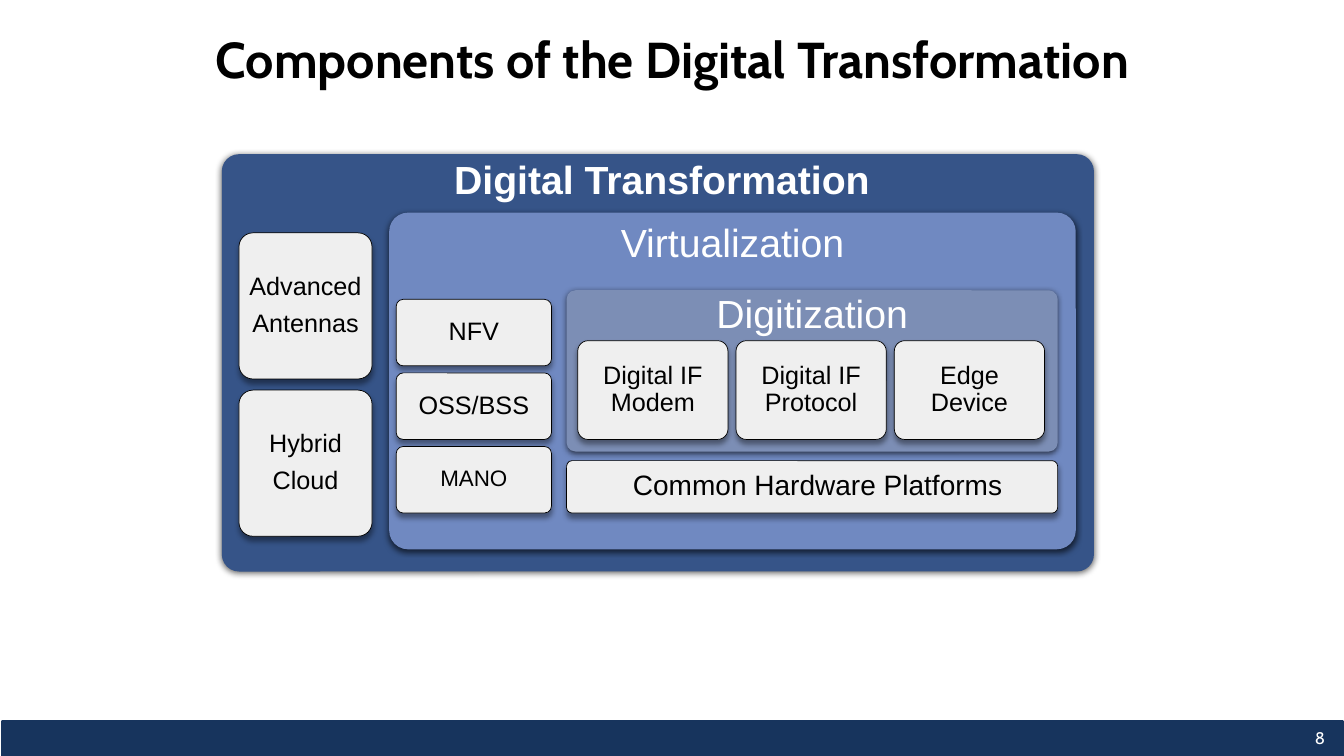
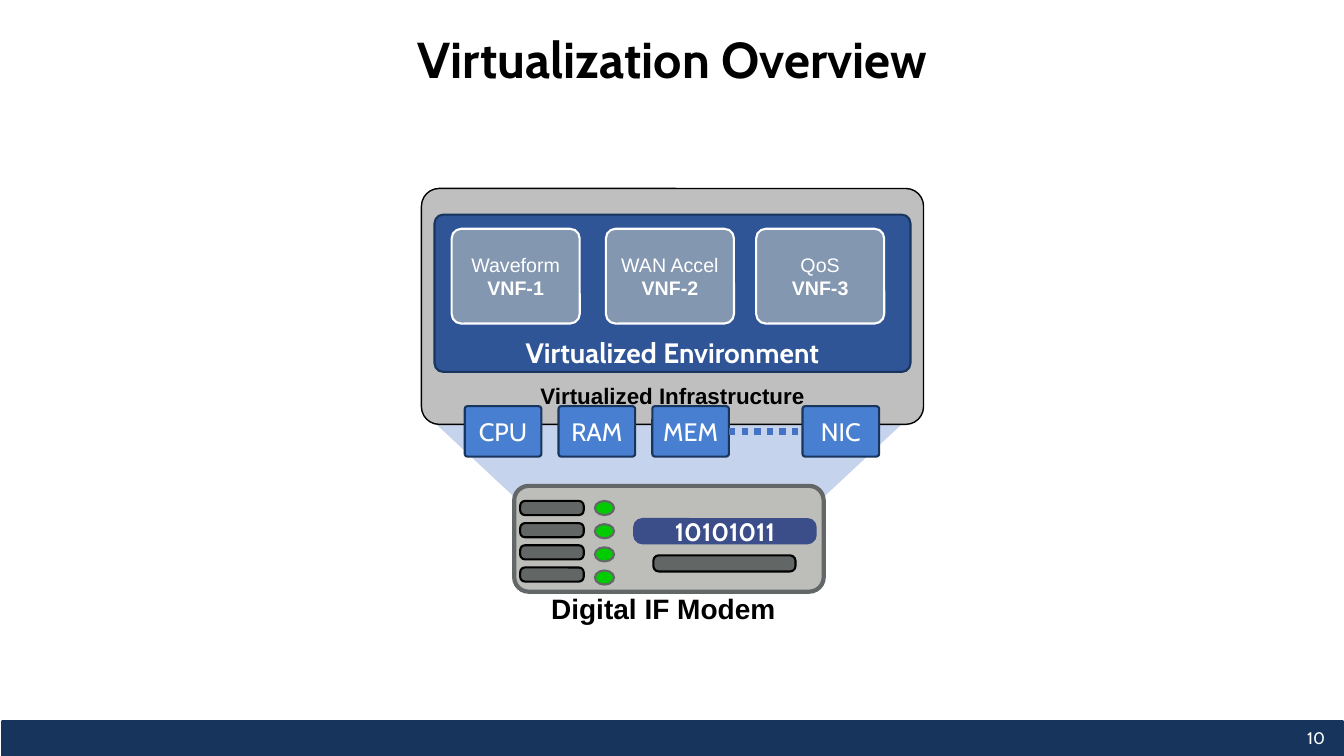
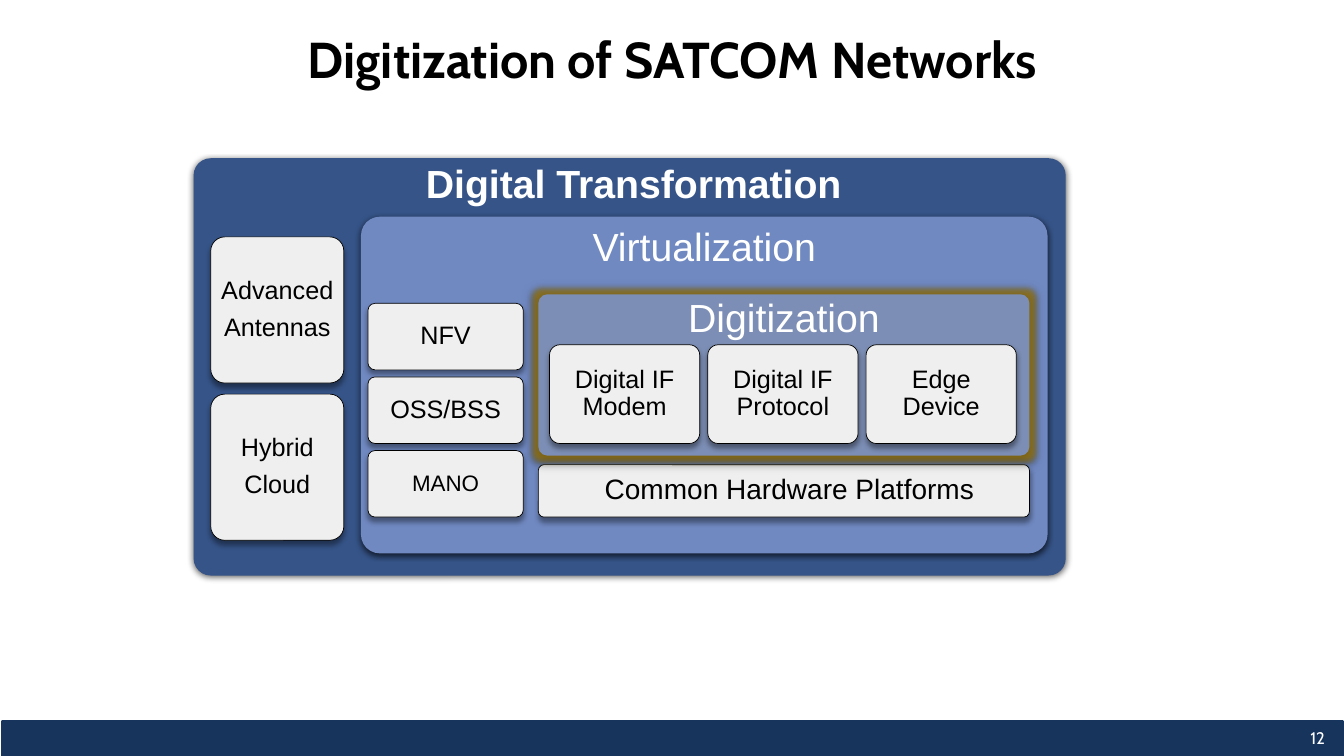
from dataclasses import dataclass, replace

from lxml import etree
from pptx import Presentation
from pptx.dml.color import RGBColor
from pptx.enum.dml import MSO_LINE
from pptx.enum.shapes import MSO_CONNECTOR, MSO_SHAPE
from pptx.enum.text import MSO_ANCHOR, PP_ALIGN
from pptx.oxml.ns import qn
from pptx.util import Inches, Pt

RECTANGLE = MSO_SHAPE.RECTANGLE
ROUNDED = MSO_SHAPE.ROUNDED_RECTANGLE
OVAL = MSO_SHAPE.OVAL
TRAPEZOID = MSO_SHAPE.TRAPEZOID
STRAIGHT = MSO_CONNECTOR.STRAIGHT
DOTTED = MSO_LINE.ROUND_DOT
TOP, MIDDLE, BOTTOM = MSO_ANCHOR.TOP, MSO_ANCHOR.MIDDLE, MSO_ANCHOR.BOTTOM
CENTER, RIGHT = PP_ALIGN.CENTER, PP_ALIGN.RIGHT
LEFT_SIDE, RIGHT_SIDE = 1, 3


@dataclass(frozen=True)
class Theme:
    heading_font: str = "Cabin"
    body_font: str = "Arial"
    black: str = "000000"
    white: str = "FFFFFF"
    band: str = "17345D"
    transformation: str = "365488"
    virtualization: str = "7089C1"
    digitization: str = "7C8EB5"
    card: str = "EFEFEF"
    glow: str = "A07800"
    beam: str = "4472C4"
    infrastructure: str = "BFBFBF"
    environment: str = "2F5597"
    navy_edge: str = "18355E"
    chip: str = "487FD0"
    vnf: str = "8497B0"
    chassis: str = "BDBEB9"
    chassis_edge: str = "636768"
    display: str = "3B4E89"
    slot: str = "626766"
    led: str = "00CC00"
    title_size: int = 36
    panel_size: int = 28
    caption_size: int = 20
    label_size: int = 18
    small_size: int = 16
    vnf_size: int = 14
    number_size: int = 12


THEME = Theme()


@dataclass(frozen=True)
class Area:
    left: float
    top: float
    width: float
    height: float

    def moved(self, right: float, down: float) -> "Area":
        return replace(self, left=self.left + right, top=self.top + down)


@dataclass(frozen=True)
class Shadow:
    alpha: int
    blur: float
    distance: float


@dataclass(frozen=True)
class Look:
    fill: str
    line: str | None = None
    line_width: float = 0
    corner: float | None = None
    preset: MSO_SHAPE = ROUNDED
    shadow: Shadow | None = None
    glow: bool = False
    opacity: int = 100


@dataclass(frozen=True)
class Label:
    size: int = THEME.label_size
    font: str = THEME.body_font
    color: str = THEME.black
    bold: bool = False
    bold_last: bool = False
    align: PP_ALIGN = CENTER
    anchor: MSO_ANCHOR = MIDDLE
    insets: tuple[float, float, float, float] = (0, 0, 0, 0)
    spacing: float = 1.0
    gap: float = 0


PANEL_SHADOW = Shadow(63, 4.5, 1.5)
CARD_SHADOW = Shadow(40, 4, 3)

BAND = Look(THEME.band, THEME.band, 2, preset=RECTANGLE)
OUTER_PANEL = Look(THEME.transformation, corner=0.041, shadow=PANEL_SHADOW)
VIRTUAL_PANEL = Look(THEME.virtualization, corner=0.056, shadow=PANEL_SHADOW)
DIGITAL_PANEL = Look(THEME.digitization, corner=0.055, shadow=PANEL_SHADOW)
CARD = Look(THEME.card, THEME.black, 0.5, 0.105, shadow=CARD_SHADOW)
BEAM = Look(THEME.beam, corner=1.072, preset=TRAPEZOID, opacity=31)
INFRASTRUCTURE = Look(THEME.infrastructure, THEME.black, 1, 0.075)
ENVIRONMENT = Look(THEME.environment, THEME.navy_edge, 1.5, 0.055)
CHIP = replace(ENVIRONMENT, fill=THEME.chip)
VNF = Look(THEME.vnf, THEME.white, 1.5, 0.101)
CHASSIS = Look(THEME.chassis, THEME.chassis_edge, 3, 0.137)
DISPLAY = Look(THEME.display, THEME.display, 1.5, 0.337)
SLOT = Look(THEME.slot, THEME.black, 1.5, 0.337)
LED = Look(THEME.led, THEME.chassis_edge, 1.5, preset=OVAL)

TITLE_LABEL = Label(THEME.title_size, THEME.heading_font, bold=True, spacing=0.9)
NUMBER_LABEL = Label(THEME.number_size, THEME.heading_font, THEME.white,
                     align=RIGHT, insets=(0.1, 0.05, 0.1, 0.05))
PANEL_LABEL = Label(THEME.panel_size, color=THEME.white, anchor=TOP, spacing=0.9)
CARD_LABEL = Label(insets=(0.05, 0, 0.05, 0), spacing=0.9, gap=7)
HARDWARE_LABEL = replace(CARD_LABEL, size=THEME.caption_size, insets=(0.11, 0, 0, 0))
INFRASTRUCTURE_LABEL = Label(THEME.small_size, bold=True, anchor=BOTTOM,
                             insets=(0.1, 0.05, 0.1, 0.1))
ENVIRONMENT_LABEL = Label(THEME.caption_size, THEME.heading_font, THEME.white,
                          bold=True, anchor=BOTTOM)
CHIP_LABEL = Label(font=THEME.heading_font, color=THEME.white)
VNF_LABEL = Label(THEME.vnf_size, color=THEME.white, bold_last=True)
DISPLAY_LABEL = replace(CHIP_LABEL, bold=True)
MODEM_LABEL = Label(THEME.caption_size, bold=True)


def rgb(color: str) -> RGBColor:
    return RGBColor.from_string(color)


def place(area: Area) -> tuple:
    return tuple(Inches(value) for value in
                 (area.left, area.top, area.width, area.height))


def add_color(parent, color: str, alpha: int) -> None:
    node = etree.SubElement(parent, qn("a:srgbClr"), val=color)
    etree.SubElement(node, qn("a:alpha"), val=str(alpha * 1000))


def add_effects(box, look: Look) -> None:
    box.shadow.inherit = False
    effects = box._element.spPr.find(qn("a:effectLst"))
    if look.glow:
        glow = etree.SubElement(effects, qn("a:glow"), rad=str(Pt(8)))
        add_color(glow, THEME.glow, 70)
    if look.shadow:
        shadow = etree.SubElement(
            effects, qn("a:outerShdw"), blurRad=str(Pt(look.shadow.blur)),
            dist=str(Pt(look.shadow.distance)), dir="5400000", rotWithShape="0")
        add_color(shadow, THEME.black, look.shadow.alpha)


def write(box, lines: tuple[str, ...], label: Label) -> None:
    frame = box.text_frame
    left, top, right, bottom = (Inches(value) for value in label.insets)
    frame_format = {
        "word_wrap": True, "vertical_anchor": label.anchor,
        "margin_left": left, "margin_top": top,
        "margin_right": right, "margin_bottom": bottom,
    }
    for name, value in frame_format.items():
        setattr(frame, name, value)
    last = len(lines) - 1
    for index, line in enumerate(lines):
        para = frame.add_paragraph() if index else frame.paragraphs[0]
        para_format = {
            "alignment": label.align, "line_spacing": label.spacing,
            "space_after": Pt(label.gap if index < last else 0),
        }
        for name, value in para_format.items():
            setattr(para, name, value)
        span = para.add_run()
        span.text = line
        font_format = {
            "name": label.font, "size": Pt(label.size),
            "bold": label.bold or (label.bold_last and index == last),
        }
        for name, value in font_format.items():
            setattr(span.font, name, value)
        span.font.color.rgb = rgb(label.color)


def add_box(page, area: Area, look: Look, lines: tuple[str, ...] = (),
            label: Label = CARD_LABEL):
    box = page.shapes.add_shape(look.preset, *place(area))
    if look.corner is not None:
        box.adjustments[0] = look.corner
    box.fill.solid()
    box.fill.fore_color.rgb = rgb(look.fill)
    if look.opacity < 100:
        color = box._element.spPr.find(qn("a:solidFill"))[0]
        etree.SubElement(color, qn("a:alpha"), val=str(look.opacity * 1000))
    if look.line:
        box.line.color.rgb = rgb(look.line)
        box.line.width = Pt(look.line_width)
    else:
        box.line.fill.background()
    add_effects(box, look)
    if lines:
        write(box, lines, label)
    return box


def add_text(page, area: Area, text: str, label: Label) -> None:
    write(page.shapes.add_textbox(*place(area)), (text,), label)


def add_page(deck, title: str, number: int):
    page = deck.slides.add_slide(deck.slide_layouts[6])
    add_box(page, Area(0.02, 7.16, 13.3, 0.36), BAND)
    add_text(page, Area(12.52, 7.12, 0.72, 0.4), str(number), NUMBER_LABEL)
    add_text(page, Area(0.92, 0.3, 11.5, 0.63), title, TITLE_LABEL)
    return page


def draw_components(page, left: float, top: float, highlight: bool = False) -> None:
    def put(area: Area, look: Look, lines: tuple[str, ...],
            label: Label = CARD_LABEL) -> None:
        add_box(page, area.moved(left, top), look, lines, label)

    put(Area(0, 0, 8.65, 4.14), OUTER_PANEL, ("Digital Transformation",),
        replace(PANEL_LABEL, bold=True, insets=(0.08, 0.01, 0, 0)))
    put(Area(1.66, 0.58, 6.81, 3.34), VIRTUAL_PANEL, ("Virtualization",),
        replace(PANEL_LABEL, insets=(0, 0.05, 0, 0)))
    for row, lines in enumerate((("Advanced", "Antennas"), ("Hybrid", "Cloud"))):
        put(Area(0.17, 0.78 + 1.56 * row, 1.32, 1.45), CARD, lines)
    put(Area(3.42, 3.04, 4.87, 0.52), CARD,
        ("Common Hardware Platforms",), HARDWARE_LABEL)
    put(Area(3.42, 1.35, 4.87, 1.6), replace(DIGITAL_PANEL, glow=highlight),
        ("Digitization",), replace(PANEL_LABEL, insets=(0, 0.02, 0, 0)))
    devices = ("Digital IF Modem", "Digital IF Protocol", "Edge Device")
    for column, device in enumerate(devices):
        put(Area(3.53 + 1.57 * column, 1.85, 1.49, 0.98), CARD, (device,))
    functions = (("NFV", THEME.label_size), ("OSS/BSS", THEME.label_size),
                 ("MANO", THEME.small_size))
    for row, (function, size) in enumerate(functions):
        put(Area(1.73, 1.44 + 0.73 * row, 1.54, 0.66), CARD, (function,),
            replace(CARD_LABEL, size=size))


def draw_stack(page) -> None:
    beam = add_box(page, Area(4.21, 4.1, 4.85, 0.88), BEAM)
    beam.rotation = 180
    add_box(page, Area(4.18, 1.87, 4.98, 2.34), INFRASTRUCTURE,
            ("Virtualized Infrastructure",), INFRASTRUCTURE_LABEL)
    add_box(page, Area(4.31, 2.13, 4.72, 1.56), ENVIRONMENT,
            ("Virtualized Environment",), ENVIRONMENT_LABEL)
    chip_lefts = {"CPU": 4.61, "RAM": 5.54, "MEM": 6.47, "NIC": 7.96}
    chips = {
        name: add_box(page, Area(left, 4.03, 0.76, 0.5), CHIP, (name,), CHIP_LABEL)
        for name, left in chip_lefts.items()
    }
    bus = page.shapes.add_connector(STRAIGHT, 0, 0, 0, 0)
    bus.begin_connect(chips["MEM"], RIGHT_SIDE)
    bus.end_connect(chips["NIC"], LEFT_SIDE)
    bus.line.color.rgb = rgb(THEME.beam)
    bus.line.width = Pt(4.5)
    bus.line.dash_style = DOTTED
    etree.SubElement(bus._element.spPr, qn("a:effectLst"))
    vnfs = ((4.48, "Waveform"), (6.01, "WAN Accel"), (7.5, "QoS"))
    for number, (left, name) in enumerate(vnfs, start=1):
        add_box(page, Area(left, 2.27, 1.27, 0.94), VNF,
                (name, f"VNF-{number}"), VNF_LABEL)


def draw_modem(page) -> None:
    add_box(page, Area(5.1, 4.82, 3.07, 1.05), CHASSIS)
    add_box(page, Area(6.29, 5.15, 1.8, 0.24), DISPLAY, ("10101011",), DISPLAY_LABEL)
    add_box(page, Area(6.48, 5.51, 1.41, 0.16), SLOT)
    for row in range(4):
        add_box(page, Area(5.9, 4.97 + 0.23 * row, 0.19, 0.14), LED)
        add_box(page, Area(5.16, 4.97 + 0.22 * row, 0.63, 0.14), SLOT)
    add_text(page, Area(5.28, 5.87, 2.6, 0.33), "Digital IF Modem", MODEM_LABEL)


def main() -> None:
    deck = Presentation()
    deck.slide_width = Inches(13.33)
    deck.slide_height = Inches(7.5)

    draw_components(add_page(deck, "Components of the Digital Transformation", 8),
                    2.2, 1.53)
    overview = add_page(deck, "Virtualization Overview", 10)
    draw_stack(overview)
    draw_modem(overview)
    draw_components(add_page(deck, "Digitization of SATCOM Networks", 12),
                    1.92, 1.57, highlight=True)

    deck.save("out.pptx")


if __name__ == "__main__":
    main()
